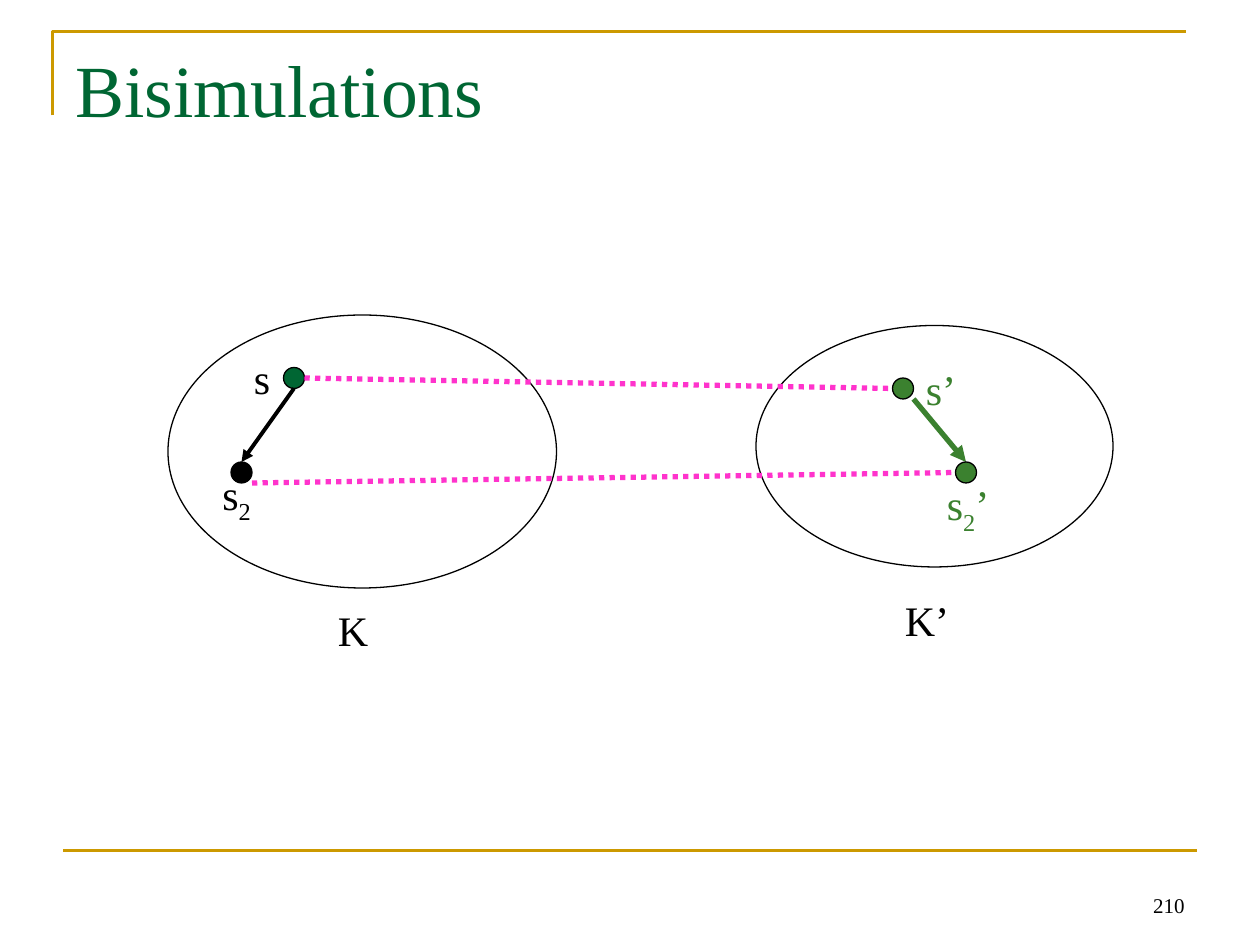
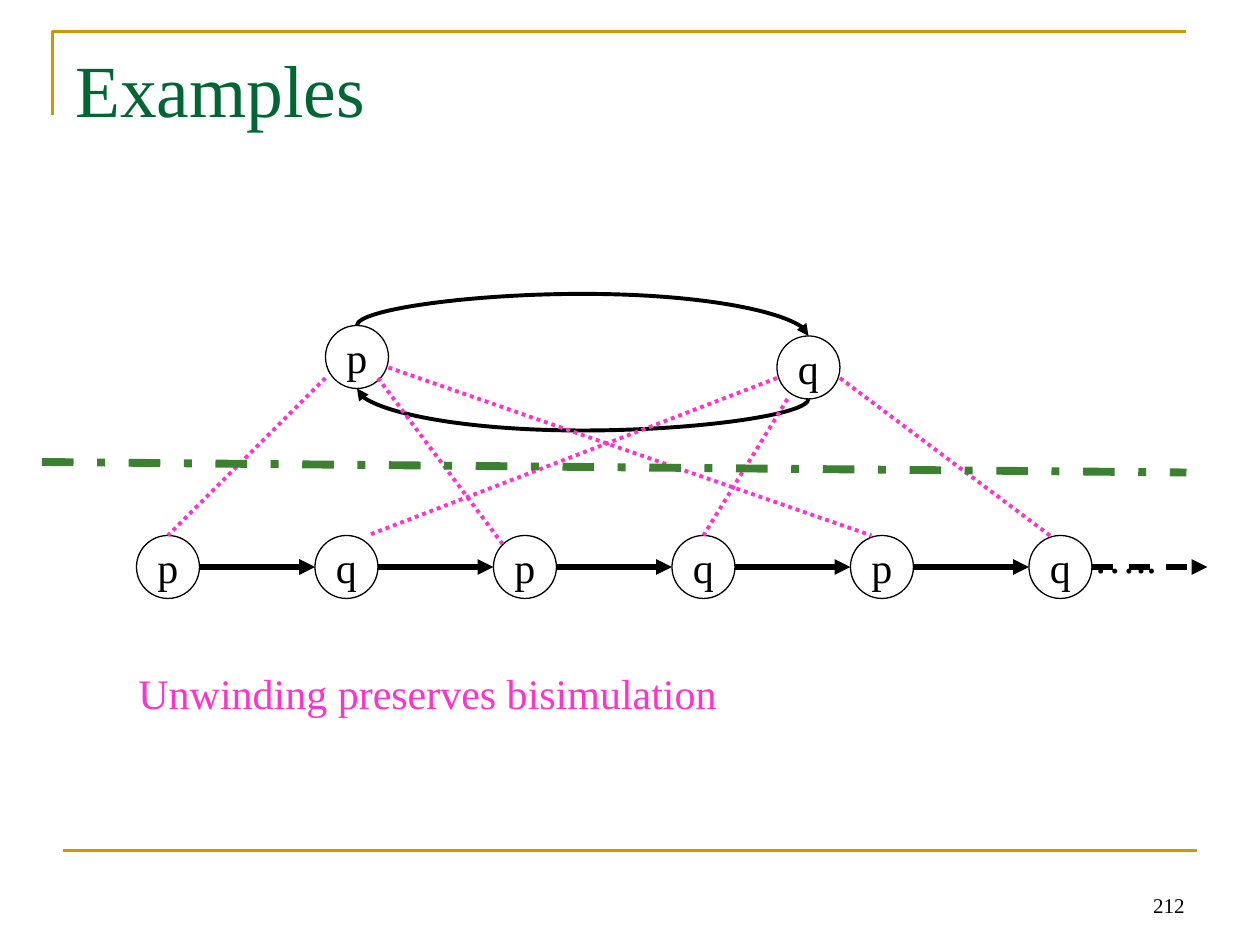
from lxml.etree import SubElement
from pptx import Presentation
from pptx.dml.color import RGBColor
from pptx.enum.dml import MSO_LINE
from pptx.enum.shapes import MSO_CONNECTOR, MSO_SHAPE
from pptx.enum.text import MSO_ANCHOR, MSO_AUTO_SIZE, PP_ALIGN
from pptx.oxml.ns import qn
from pptx.util import Pt

PX = 7620  # EMU per px, 120 px to the inch
FONT = "Times New Roman"
COLORS = {
    "white": "FFFFFF",
    "black": "000000",
    "gold": "CC9900",
    "title": "006633",
    "green": "3B812F",
    "pink": "FF33CC",
}


def color(name):
    return RGBColor.from_string(COLORS[name])


class Painter:
    """Holds the deck, its style and the slide being drawn."""

    def __init__(self):
        self.deck = Presentation()
        self.deck.slide_width = 1200 * PX
        self.deck.slide_height = 900 * PX
        self.page = None

    def new_page(self, title, number):
        self.page = self.deck.slides.add_slide(self.deck.slide_layouts[6])
        # Gold corner at the top and gold rule at the bottom
        builder = self.page.shapes.build_freeform(50, 110, scale=PX)
        builder.add_line_segments([(50, 30), (1130, 30)], close=False)
        corner = builder.convert_to_shape()
        corner.shadow.inherit = False
        corner.fill.background()
        self.stroke(corner, "gold", 1.5)
        self.line((60, 810), (1140, 810), "gold", 1.5)
        # Slide number and title
        self.text(860, 820, 280, 60, [number], size=12, align=PP_ALIGN.RIGHT,
                  anchor=MSO_ANCHOR.BOTTOM)
        self.text(60, 36, 1080, 150, [title], "title", size=42)

    def stroke(self, shape, hue, width):
        shape.line.color.rgb = color(hue)
        shape.line.width = Pt(width)

    def add_spans(self, frame, spans, hue="black", size=24, align=PP_ALIGN.LEFT):
        """Fill a frame with spans; a span given as a tuple is a subscript."""
        para = frame.paragraphs[0]
        para.alignment = align
        for part in spans:
            span = para.add_run()
            lowered = isinstance(part, tuple)
            span.text = part[0] if lowered else part
            span.font.name = FONT
            span.font.size = Pt(size)
            span.font.color.rgb = color(hue)
            if lowered:
                span._r.get_or_add_rPr().set("baseline", "-25000")

    def text(self, x, y, width, height, spans, hue="black", size=24,
             align=PP_ALIGN.LEFT, anchor=MSO_ANCHOR.TOP):
        box = self.page.shapes.add_textbox(x * PX, y * PX, width * PX, height * PX)
        frame = box.text_frame
        frame.word_wrap = True
        frame.auto_size = MSO_AUTO_SIZE.NONE
        frame.vertical_anchor = anchor
        self.add_spans(frame, spans, hue, size, align)

    def ellipse(self, x, y, width, height, fill="white"):
        oval = self.page.shapes.add_shape(
            MSO_SHAPE.OVAL, x * PX, y * PX, width * PX, height * PX)
        oval.shadow.inherit = False
        oval.fill.solid()
        oval.fill.fore_color.rgb = color(fill)
        self.stroke(oval, "black", 0.75)
        return oval

    def dot(self, x, y, fill):
        self.ellipse(x, y, 20, 20, fill)

    def state(self, x, y, label):
        frame = self.ellipse(x, y, 60, 60).text_frame
        frame.word_wrap = False
        frame.vertical_anchor = MSO_ANCHOR.MIDDLE
        self.add_spans(frame, [label], align=PP_ALIGN.CENTER)

    def line(self, start, end, hue="black", width=3.0, dash=None, arrow=False,
             kind=MSO_CONNECTOR.STRAIGHT):
        ends = [round(value * PX) for value in (*start, *end)]
        link = self.page.shapes.add_connector(kind, *ends)
        self.stroke(link, hue, width)
        if dash:
            link.line.dash_style = dash
        if arrow:
            SubElement(link.line._get_or_add_ln(), qn("a:tailEnd"), type="triangle")
        SubElement(link._element.spPr, qn("a:effectLst"))
        return link

    def curve(self, start, end, bulge):
        """Curved arrow that leaves and arrives vertically: a turned connector."""
        middle_x, middle_y = (start[0] + end[0]) / 2, (start[1] + end[1]) / 2
        half_w, half_h = abs(end[1] - start[1]) / 2, abs(end[0] - start[0]) / 2
        link = self.line((middle_x - half_w, middle_y + half_h),
                         (middle_x + half_w, middle_y - half_h),
                         width=2.25, arrow=True, kind=MSO_CONNECTOR.CURVE)
        link.rotation = 90 if end[0] > start[0] else 270
        guides = link._element.spPr.find(qn("a:prstGeom")).get_or_add_avLst()
        SubElement(guides, qn("a:gd"), name="adj1", fmla=f"val {bulge * 100000}")


def draw_bisimulations(painter):
    painter.new_page("Bisimulations", "210")
    # The two structures
    painter.ellipse(160, 300, 370, 260)
    painter.ellipse(720, 310, 340, 230)
    painter.text(310, 570, 250, 60, ["K"])
    painter.text(850, 560, 300, 60, ["K’"])
    # Related starting states
    painter.dot(270, 350, "title")
    painter.dot(850, 360, "green")
    painter.line((290, 360), (850, 370), "pink", dash=MSO_LINE.ROUND_DOT)
    painter.text(230, 330, 150, 60, ["s"])
    painter.text(870, 340, 110, 60, ["s’"], "green")
    # Steps to the related successors
    painter.line((280, 370), (230, 440), width=2.25, arrow=True)
    painter.dot(220, 440, "black")
    painter.text(200, 440, 130, 60, ["s", ("2",)])
    painter.line((870, 380), (920, 440), "green", arrow=True)
    painter.dot(910, 440, "green")
    painter.text(890, 450, 150, 60, ["s", ("2",), "’"], "green")
    painter.line((240, 460), (910, 450), "pink", dash=MSO_LINE.ROUND_DOT)


def draw_examples(painter):
    painter.new_page("Examples", "212")
    # Two-state loop
    painter.state(310, 310, "p")
    painter.state(740, 320, "q")
    painter.curve((340, 310), (770, 320), -3)
    painter.curve((770, 380), (340, 370), -3)
    # Unwound chain
    first, step, size = 130, 170, 60
    chain = [(first + index * step, label) for index, label in enumerate("pqpqpq")]
    for left, label in chain:
        painter.state(left, 510, label)
    painter.text(1030, 500, 240, 60, ["….."])
    for left, label in chain:
        dash = MSO_LINE.DASH if left == chain[-1][0] else None
        painter.line((left + size, 540), (left + step, 540), dash=dash, arrow=True)
    # Pairs of bisimilar states
    pairs = [
        ((310, 360), (160, 510)), ((360, 360), (480, 520)),
        ((370, 350), (830, 510)), ((740, 360), (350, 510)),
        ((750, 380), (670, 510)), ((800, 360), (1000, 510)),
    ]
    for upper, lower in pairs:
        painter.line(upper, lower, "pink", 2.25, MSO_LINE.ROUND_DOT)
    # Divider and conclusion
    painter.line((40, 440), (1130, 450), "green", 4.5, MSO_LINE.DASH_DOT)
    painter.text(120, 630, 960, 60, ["Unwinding preserves bisimulation"], "pink")


def main():
    painter = Painter()
    draw_bisimulations(painter)
    draw_examples(painter)
    painter.deck.save("out.pptx")


if __name__ == "__main__":
    main()
